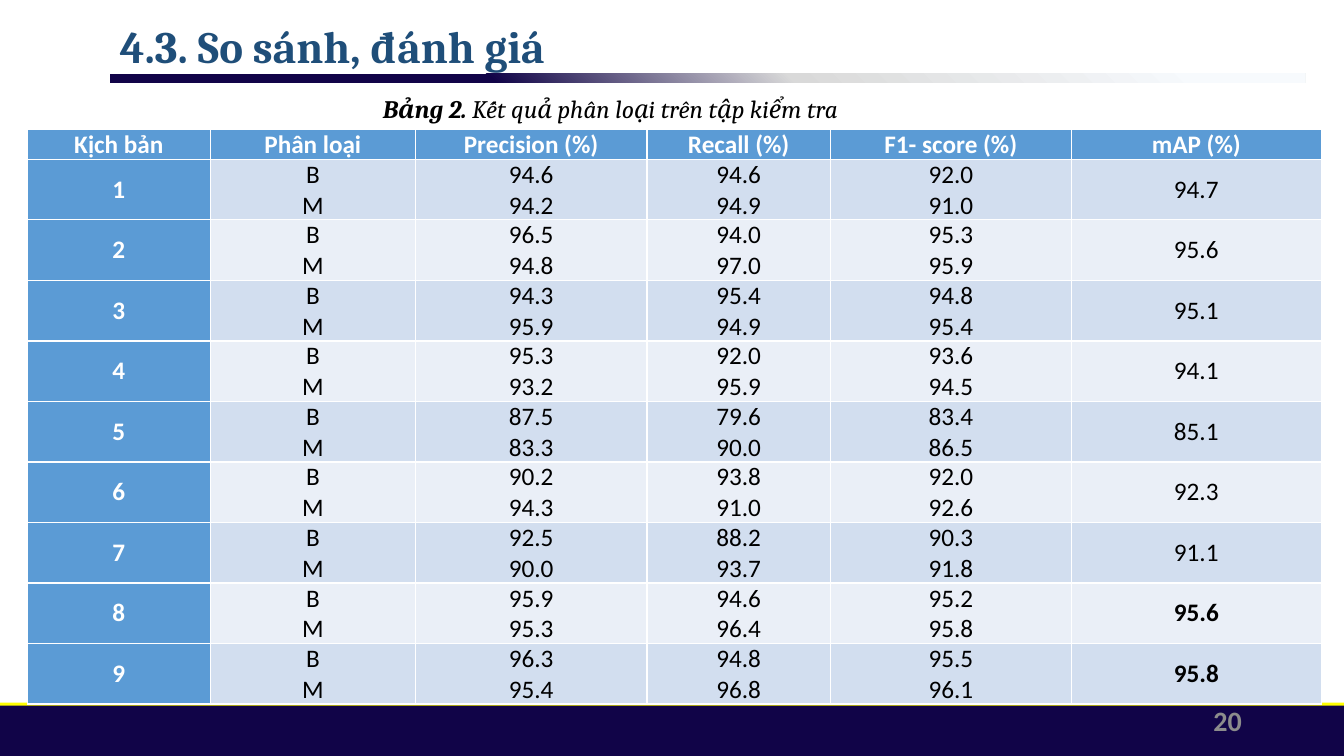
"""Build the slide comparing classification results of nine scenarios."""
from dataclasses import dataclass

import lxml.etree
import pptx
import pptx.dml.color
import pptx.enum.shapes
import pptx.enum.text
import pptx.oxml
import pptx.oxml.ns
import pptx.util

Pt = pptx.util.Pt
ALIGN = pptx.enum.text.PP_ALIGN
ANCHOR = pptx.enum.text.MSO_ANCHOR


@dataclass(frozen=True)
class Theme:
    heading_font: str = "Cambria"
    body_font: str = "Calibri"
    title_size: int = 32
    number_size: int = 20
    text_size: int = 18
    navy: str = "110448"
    yellow: str = "FFFF00"
    title: str = "1F4E79"
    black: str = "000000"
    white: str = "FFFFFF"
    grey: str = "8C8C8C"
    header: str = "5B9BD5"
    bands: tuple = ("D2DEEF", "EAEFF7")
    rule_stops: tuple = ((9, "F7FAFD"), (43, "D9D9D9"), (68, "110448"), (100, "110448"))


theme = Theme()
rgb = pptx.dml.color.RGBColor.from_string


def add_run(paragraph, text, font, size, color, bold=False, italic=False):
    run = paragraph.add_run()
    run.text = text
    run.font.name = font
    run.font.size = Pt(size)
    run.font.color.rgb = rgb(color)
    run.font.bold = bold
    run.font.italic = italic


def add_bar(left, top, width, height, color):
    bar = slide.shapes.add_shape(
        pptx.enum.shapes.MSO_SHAPE.RECTANGLE, Pt(left), Pt(top), Pt(width), Pt(height))
    bar.shadow.inherit = False
    bar.line.fill.background()
    bar.fill.solid()
    bar.fill.fore_color.rgb = rgb(color)
    return bar


presentation = pptx.Presentation()
presentation.slide_width = Pt(960)
presentation.slide_height = Pt(540)
slide = presentation.slides.add_slide(presentation.slide_layouts[6])

add_bar(0, 502, 960, 5, theme.yellow)
add_bar(0, 504, 960, 36, theme.navy)
title_rule = add_bar(78.5, 52.6, 854, 6.5, theme.navy)
stops = "".join(
    f'<a:gs pos="{position * 1000}"><a:srgbClr val="{color}"/></a:gs>'
    for position, color in theme.rule_stops)
gradient = pptx.oxml.parse_xml(
    f'<a:gradFill {pptx.oxml.ns.nsdecls("a")} rotWithShape="1"><a:gsLst>{stops}</a:gsLst>'
    '<a:path path="circle"><a:fillToRect l="100000" b="100000"/></a:path></a:gradFill>')
solid_fill = title_rule._element.spPr.find(pptx.oxml.ns.qn("a:solidFill"))
solid_fill.getparent().replace(solid_fill, gradient)

title_box = slide.shapes.add_textbox(Pt(78.5), Pt(14.4), Pt(792.7), Pt(35.3))
title_box.text_frame.word_wrap = True
title_paragraph = title_box.text_frame.paragraphs[0]
title_paragraph.line_spacing = 0.9
add_run(title_paragraph, "4.3. So sánh, đánh giá", theme.heading_font,
        theme.title_size, theme.title, bold=True)

caption_box = slide.shapes.add_textbox(Pt(266.4), Pt(63.4), Pt(345.6), Pt(29))
caption_box.text_frame.word_wrap = False
caption_box.text_frame.auto_size = pptx.enum.text.MSO_AUTO_SIZE.SHAPE_TO_FIT_TEXT
for text, bold in (("Bảng 2. ", True), ("Kết quả phân loại trên tập kiểm tra", False)):
    add_run(caption_box.text_frame.paragraphs[0], text, theme.heading_font,
            theme.text_size, theme.black, bold, italic=True)

number_box = slide.shapes.add_textbox(Pt(678.2), Pt(500.4), Pt(216), Pt(28.8))
number_box.text_frame.word_wrap = True
number_box.text_frame.vertical_anchor = ANCHOR.MIDDLE
number_paragraph = number_box.text_frame.paragraphs[0]
number_paragraph.alignment = ALIGN.RIGHT
add_run(number_paragraph, "20", theme.body_font, theme.number_size, theme.grey, bold=True)

headings = ("Kịch bản", "Phân loại", "Precision (%)", "Recall (%)", "F1- score (%)", "mAP (%)")
column_widths = (131, 146.2, 165.6, 131, 172.1, 178.6)
results = (
    ("94.6 94.2", "94.6 94.9", "92.0 91.0", "94.7"),
    ("96.5 94.8", "94.0 97.0", "95.3 95.9", "95.6"),
    ("94.3 95.9", "95.4 94.9", "94.8 95.4", "95.1"),
    ("95.3 93.2", "92.0 95.9", "93.6 94.5", "94.1"),
    ("87.5 83.3", "79.6 90.0", "83.4 86.5", "85.1"),
    ("90.2 94.3", "93.8 91.0", "92.0 92.6", "92.3"),
    ("92.5 90.0", "88.2 93.7", "90.3 91.8", "91.1"),
    ("95.9 95.3", "94.6 96.4", "95.2 95.8", "95.6"),
    ("96.3 95.4", "94.8 96.8", "95.5 96.1", "95.8"),
)
best_scenarios = (8, 9)
rows = [[[heading] for heading in headings]]
for scenario, values in enumerate(results, start=1):
    rows.append([[str(scenario)], ["B", "M"]] + [value.split() for value in values])

header_height, row_height = 21.6, 43.2
table = slide.shapes.add_table(
    len(rows), len(headings), Pt(19.4), Pt(92.2), Pt(sum(column_widths)),
    Pt(header_height + row_height * len(results))).table
table.first_col = True
for column, width in zip(table.columns, column_widths):
    column.width = Pt(width)
for row_index, row in enumerate(rows):
    table.rows[row_index].height = Pt(row_height if row_index else header_height)
    for column_index, lines in enumerate(row):
        cell = table.cell(row_index, column_index)
        is_heading = row_index == 0 or column_index == 0
        is_best = row_index in best_scenarios and column_index == len(headings) - 1
        cell.fill.solid()
        cell.fill.fore_color.rgb = rgb(
            theme.header if is_heading else theme.bands[(row_index - 1) % 2])
        cell.vertical_anchor = ANCHOR.MIDDLE
        cell.margin_left = cell.margin_right = Pt(5)
        cell.margin_top = cell.margin_bottom = 0
        for line_index, line in enumerate(lines):
            frame = cell.text_frame
            paragraph = frame.add_paragraph() if line_index else frame.paragraphs[0]
            paragraph.alignment = ALIGN.CENTER
            add_run(paragraph, line, theme.body_font, theme.text_size,
                    theme.white if is_heading else theme.black, is_heading or is_best)

presentation.save("out.pptx")
